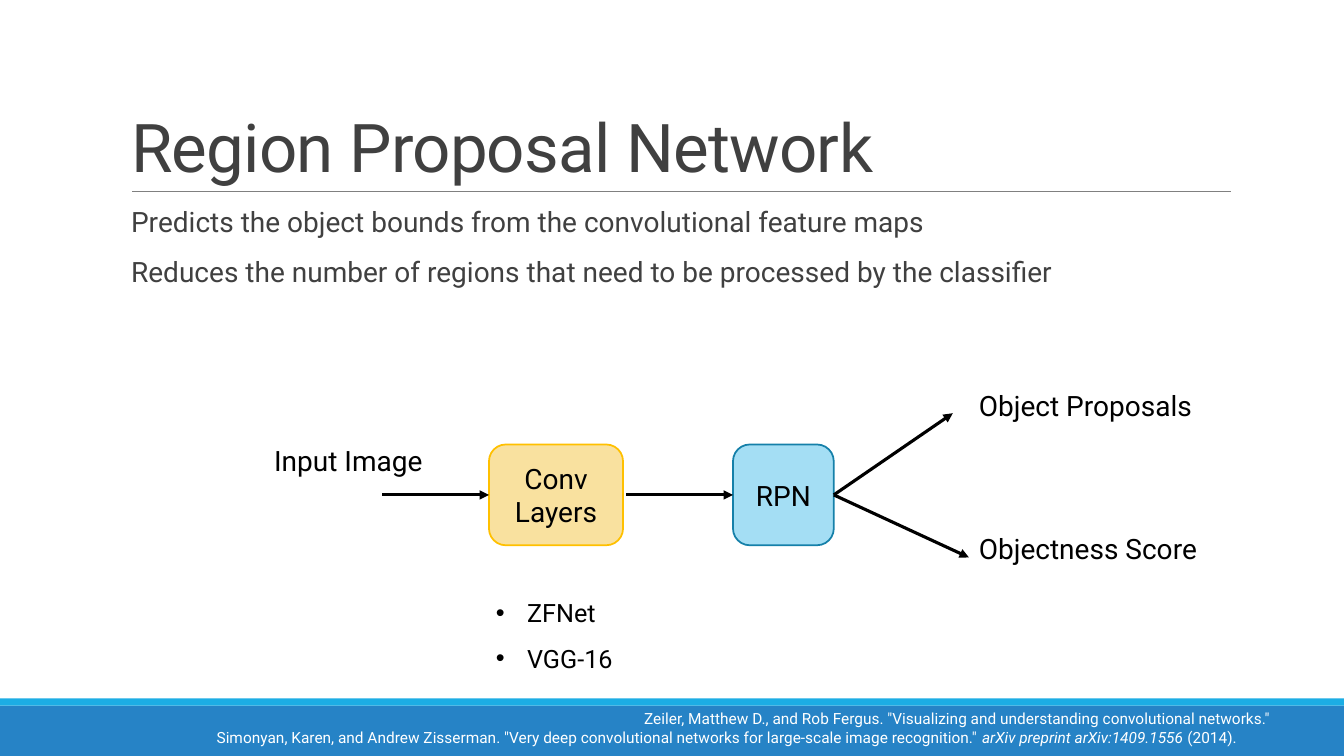
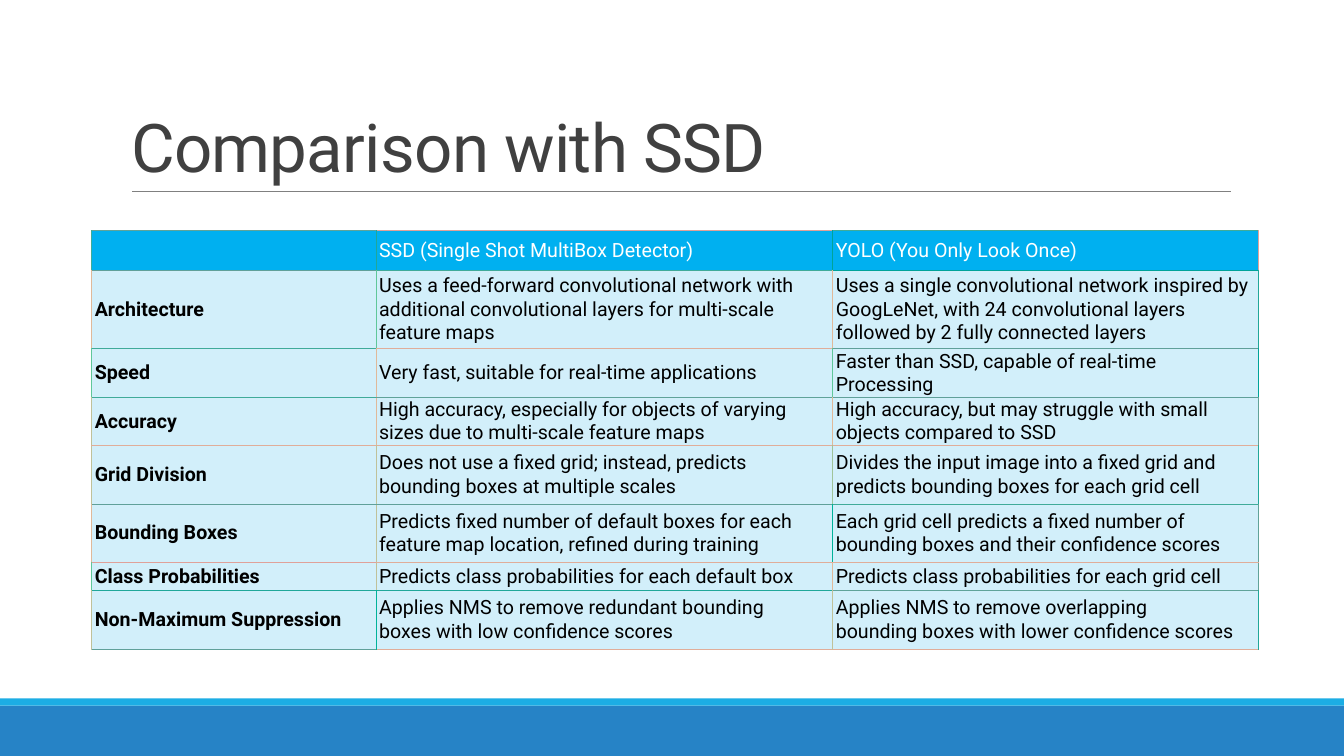
from pptx import Presentation
from pptx.dml import color
from pptx.enum import shapes, text
from pptx.oxml import ns, xmlchemy
from pptx.util import Inches, Pt

FONT = "Roboto"
HUES = {
    "band": "2683C6", "stripe": "1CADE4", "rule": "808080", "title": "404040",
    "ink": "000000", "white": "FFFFFF", "head": "00B0F0", "cell": "D2EFFA",
    "blue": "A4DEF4", "navy": "1580A9", "cream": "F9E19F", "gold": "FFC000",
}
EDGES = {
    "a": "40AB99", "b": "60A399", "c": "20A799", "d": "60A099",
    "e": "E0A199", "f": "00A399", "g": "E0B999", "h": "60C799",
    "i": "E0AD99", "j": "C0C199", "k": "A0C399", "m": "00B299",
}
ACROSS = ["bea", "daf", "aid", "abd", "iii", "dda", "eii", "ccb", "dii"]
DOWN = ["acfe", "ghgc", "hghf", "jggb", "jjkc", "gjmb", "hjgb", "jmjc"]
COLS = [2.82, 4.53, 4.22]
ROWS = [0.39, 0.78, 0.3, 0.44, 0.58, 0.58, 0.28, 0.58]
CELLS = [
    ["", "SSD (Single Shot MultiBox Detector)", "YOLO (You Only Look Once)"],
    ["Architecture",
     "Uses a feed-forward convolutional network with additional convolutional layers for multi-scale\nfeature maps",
     "Uses a single convolutional network inspired by GoogLeNet, with 24 convolutional layers\nfollowed by 2 fully connected layers"],
    ["Speed", "Very fast, suitable for real-time applications",
     "Faster than SSD, capable of real-time\nProcessing"],
    ["Accuracy",
     "High accuracy, especially for objects of varying\nsizes due to multi-scale feature maps",
     "High accuracy, but may struggle with small\nobjects compared to SSD"],
    ["Grid Division",
     "Does not use a fixed grid; instead, predicts\nbounding boxes at multiple scales",
     "Divides the input image into a fixed grid and\npredicts bounding boxes for each grid cell"],
    ["Bounding Boxes",
     "Predicts fixed number of default boxes for each feature map location, refined during training",
     "Each grid cell predicts a fixed number of\nbounding boxes and their confidence scores"],
    ["Class Probabilities", "Predicts class probabilities for each default box",
     "Predicts class probabilities for each grid cell"],
    ["Non-Maximum Suppression",
     "Applies NMS to remove redundant bounding\nboxes with low confidence scores",
     "Applies NMS to remove overlapping\nbounding boxes with lower confidence scores"],
]


def hue(name):
    return color.RGBColor.from_string(HUES[name])


def add(parent, tag, **attrs):
    node = xmlchemy.OxmlElement(tag)
    for key, value in attrs.items():
        node.set(key, str(value))
    parent.append(node)
    return node


def place(shape, left, top, width, height):
    shape.left, shape.top = Inches(left), Inches(top)
    shape.width, shape.height = Inches(width), Inches(height)


def style(frame, size, tint="ink", bold=False):
    for para in frame.paragraphs:
        for run in para.runs:
            run.font.name, run.font.size, run.font.bold = FONT, Pt(size), bold
            run.font.color.rgb = hue(tint)


def indent(para, left, first, bullet=None):
    props = para._p.get_or_add_pPr()
    props.set("marL", str(Inches(left)))
    props.set("indent", str(Inches(first)))
    if bullet:
        add(props, "a:buFont", typeface="Arial")
        add(props, "a:buChar", char=bullet)
    else:
        add(props, "a:buNone")


def label(slide, words, box, size=20, tint="ink"):
    shape = slide.shapes.add_textbox(*map(Inches, box))
    shape.text_frame.word_wrap = True
    shape.text_frame.text = words
    style(shape.text_frame, size, tint)
    return shape.text_frame


def block(slide, kind, box, fill, line=None, words=""):
    shape = slide.shapes.add_shape(kind, *map(Inches, box))
    shape.shadow.inherit = False
    shape.fill.solid()
    shape.fill.fore_color.rgb = hue(fill)
    if line:
        shape.line.color.rgb = hue(line)
        shape.line.width = Pt(1.25)
    else:
        shape.line.fill.background()
    if words:
        frame = shape.text_frame
        frame.text = words
        frame.vertical_anchor = text.MSO_ANCHOR.MIDDLE
        frame.paragraphs[0].alignment = text.PP_ALIGN.CENTER
        style(frame, 20)
    return shape


def line(slide, start, end, tint="ink", width=2.25, arrow=True):
    shape = slide.shapes.add_connector(
        shapes.MSO_CONNECTOR.STRAIGHT, *map(Inches, start + end))
    shape.line.color.rgb = hue(tint)
    shape.line.width = Pt(width)
    if arrow:
        add(shape.line._get_or_add_ln(), "a:tailEnd", type="triangle")
    add(shape.element.spPr, "a:effectLst")
    return shape


def dress(deck, slide):
    rect = shapes.MSO_SHAPE.RECTANGLE
    parts = [
        block(slide, rect, (0, 7, 13.33, 0.5), "band"),
        block(slide, rect, (0, 6.93, 13.33, 0.07), "stripe"),
        line(slide, (1.31, 1.9), (12.21, 1.9), "rule", 0.5, False),
    ]
    for spot, part in enumerate(parts, 2):
        deck.slide_master.shapes.element.insert(spot, part.element)


def head(slide, words):
    title = slide.shapes.title
    place(title, 1.2, 0.31, 11, 1.59)
    frame = title.text_frame
    frame.text = words
    frame.auto_size = text.MSO_AUTO_SIZE.NONE
    frame.vertical_anchor = text.MSO_ANCHOR.BOTTOM
    para = frame.paragraphs[0]
    para.alignment = text.PP_ALIGN.LEFT
    para.line_spacing = 0.85
    style(frame, 48, "title")
    para.runs[0].font._element.set("spc", "-50")


def body(slide, lines):
    shape = slide.placeholders[1]
    place(shape, 1.2, 2.02, 11, 4.4)
    frame = shape.text_frame
    frame.text = "\n".join(lines)
    frame.auto_size = text.MSO_AUTO_SIZE.NONE
    frame.margin_left = frame.margin_right = 0
    for count, para in enumerate(frame.paragraphs):
        indent(para, 0.1, 0)
        para.line_spacing = 0.9
        para.space_before = Pt(12 if count else 0)
        para.space_after = Pt(2)
    style(frame, 20, "title")


def flow(slide):
    label(slide, "Input Image", (2.62, 4.35, 1.8, 0.44))
    label(slide, "Object Proposals", (9.61, 3.81, 2.42, 0.44))
    label(slide, "Objectness Score", (9.61, 5.22, 2.42, 0.44))
    round_box = shapes.MSO_SHAPE.ROUNDED_RECTANGLE
    block(slide, round_box, (4.85, 4.41, 1.33, 1), "cream", "gold", "Conv Layers")
    block(slide, round_box, (7.27, 4.41, 1, 1), "blue", "navy", "RPN")
    mid = 4.91
    for start, end in [
        ((3.79, mid), (4.85, mid)), ((6.21, mid), (7.27, mid)),
        ((8.27, mid), (9.45, 4.1)), ((8.27, mid), (9.61, 5.53)),
    ]:
        line(slide, start, end)
    nets = label(slide, "ZFNet\nVGG-16", (4.82, 5.73, 1.4, 0.96), 18)
    for para in nets.paragraphs:
        indent(para, 0.31, -0.31, "•")
        para.line_spacing = 1.5


def cite(slide):
    label(slide, 'Zeiler, Matthew D., and Rob Fergus. "Visualizing and understanding convolutional networks."',
          (6.29, 6.99, 7.01, 0.29), 11, "white")
    frame = label(slide, 'Simonyan, Karen, and Andrew Zisserman. "Very deep convolutional networks for large-scale image recognition." ',
                  (2.05, 7.17, 11.25, 0.29), 11, "white")
    para = frame.paragraphs[0]
    for words, slant in [("arXiv preprint arXiv:1409.1556", True), (" (2014).", False)]:
        run = para.add_run()
        run.text = words
        run.font.italic = slant
    style(frame, 11, "white")


def edge(cell, side, code):
    rim = add(cell._tc.get_or_add_tcPr(), "a:ln" + side, w=Pt(0.75))
    add(add(rim, "a:solidFill"), "a:srgbClr", val=EDGES[code])


def grid(slide):
    frame = slide.shapes.add_table(
        len(ROWS), len(COLS), Inches(0.91), Inches(2.29),
        Inches(sum(COLS)), Inches(sum(ROWS)))
    table = frame.table
    table.first_row = table.horz_banding = False
    for col, width in zip(table.columns, COLS):
        col.width = Inches(width)
    for r, height in enumerate(ROWS):
        table.rows[r].height = Inches(height)
        for c, words in enumerate(CELLS[r]):
            cell = table.cell(r, c)
            cell.text = words
            cell.margin_left = cell.margin_right = Inches(0.03)
            cell.margin_top = cell.margin_bottom = Inches(0.01)
            cell.vertical_anchor = text.MSO_ANCHOR.MIDDLE
            edge(cell, "L", DOWN[r][c])
            edge(cell, "R", DOWN[r][c + 1])
            edge(cell, "T", ACROSS[r][c])
            edge(cell, "B", ACROSS[r + 1][c])
            cell.fill.solid()
            cell.fill.fore_color.rgb = hue("cell" if r else "head")
            style(cell.text_frame, 14, "ink" if r else "white", c == 0)


def main():
    deck = Presentation()
    deck.slide_width, deck.slide_height = Inches(13.33), Inches(7.5)

    first = deck.slides.add_slide(deck.slide_layouts[1])
    dress(deck, first)
    head(first, "Region Proposal Network")
    body(first, [
        "Predicts the object bounds from the convolutional feature maps",
        "Reduces the number of regions that need to be processed by the classifier",
    ])
    flow(first)
    cite(first)

    second = deck.slides.add_slide(deck.slide_layouts[5])
    head(second, "Comparison with SSD")
    grid(second)
    deck.save("out.pptx")


if __name__ == "__main__":
    main()
